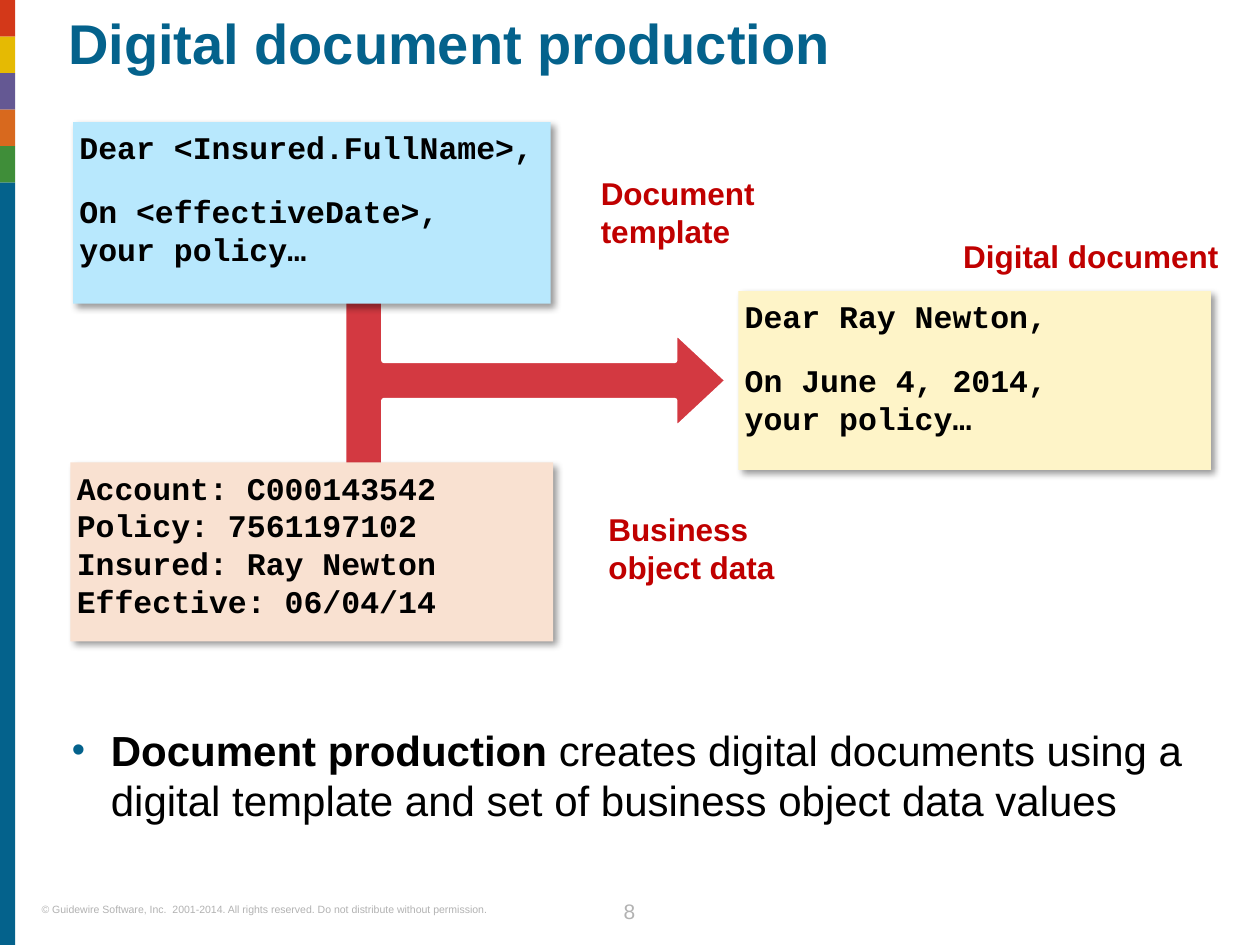
from dataclasses import dataclass

from lxml.etree import SubElement
from pptx import Presentation
from pptx.dml.color import RGBColor
from pptx.enum.shapes import MSO_SHAPE as Shape
from pptx.enum.text import MSO_ANCHOR as Anchor, MSO_AUTO_SIZE as AutoSize, PP_ALIGN as Align
from pptx.oxml.ns import qn
from pptx.util import Inches, Pt


@dataclass(frozen=True)
class Theme:
    sans: str = "Arial"
    mono: str = "Courier New"
    accent: str = "04628C"
    ink: str = "000000"
    white: str = "FFFFFF"
    muted: str = "B2B2B2"
    label: str = "C00000"
    arrow: str = "D33941"
    template: str = "B8E8FD"
    document: str = "FEF4C8"
    data: str = "F9E1D1"
    stripes: tuple = ("D33819", "E5BA03", "645893", "D8691E", "3F8E39")
    title_size: int = 32
    body_size: int = 24
    text_size: int = 18
    number_size: int = 12
    footer_size: int = 6


class SlideBuilder:
    def __init__(self, slide, theme):
        self.slide = slide
        self.theme = theme

    def set_font(self, para, size, color, bold=False, name=None):
        font = para.font
        font.name = name or self.theme.sans
        font.size = Pt(size)
        font.bold = bold
        font.color.rgb = RGBColor.from_string(color)

    def set_frame(self, frame, inset_x=0, inset_y=0):
        frame.word_wrap = True
        frame.auto_size = AutoSize.NONE
        frame.vertical_anchor = Anchor.TOP
        frame.margin_left = frame.margin_right = Inches(inset_x)
        frame.margin_top = frame.margin_bottom = Inches(inset_y)

    def place(self, shape, left, top, width, height):
        shape.left, shape.top = Inches(left), Inches(top)
        shape.width, shape.height = Inches(width), Inches(height)

    def shape(self, kind, left, top, width, height, color):
        shape = self.slide.shapes.add_shape(
            kind, Inches(left), Inches(top), Inches(width), Inches(height))
        shape.shadow.inherit = False
        shape.fill.solid()
        shape.fill.fore_color.rgb = RGBColor.from_string(color)
        shape.line.fill.background()
        return shape

    def side_bar(self, width=0.12, step=0.29, bottom=7.5):
        stripes = self.theme.stripes
        for index, color in enumerate(stripes):
            self.shape(Shape.RECTANGLE, 0, index * step, width, step, color)
        top = len(stripes) * step
        self.shape(Shape.RECTANGLE, 0, top, width, bottom - top, self.theme.accent)

    def merge_arrow(self, left, top, width, height):
        """Three-way arrow turned so that its middle head points right."""
        arrow = self.shape(Shape.LEFT_RIGHT_UP_ARROW, left, top, width, height,
                           self.theme.arrow)
        arrow.rotation = 90
        for index, value in enumerate((0.144, 0.177, 0.19)):
            arrow.adjustments[index] = value
        arrow.line.color.rgb = RGBColor.from_string(self.theme.white)
        arrow.line.width = Pt(3)

    def add_shadow(self, shape):
        effects = shape._element.spPr.find(qn("a:effectLst"))
        shadow = SubElement(effects, qn("a:outerShdw"), blurRad=str(Pt(4)),
                            dist=str(Pt(3)), dir=str(45 * 60000),
                            algn="tl", rotWithShape="0")
        color = SubElement(shadow, qn("a:srgbClr"), val=self.theme.ink)
        SubElement(color, qn("a:alpha"), val="40000")

    def paper(self, left, top, width, height, color, *paragraphs):
        """Shadowed sheet of monospaced text."""
        box = self.shape(Shape.RECTANGLE, left, top, width, height, color)
        self.add_shadow(box)
        frame = box.text_frame
        self.set_frame(frame, 0.05, 0.05)
        for index, text in enumerate(paragraphs):
            para = frame.add_paragraph() if index else frame.paragraphs[0]
            para.text = text
            para.alignment = Align.LEFT
            para.space_before = Pt(9 if index else 0)
            para.space_after = Pt(6)
            self.set_font(para, self.theme.text_size, self.theme.ink, True, self.theme.mono)

    def text(self, left, top, width, height, text, size, color, bold=False,
             align=Align.LEFT, insets=(0, 0)):
        box = self.slide.shapes.add_textbox(
            Inches(left), Inches(top), Inches(width), Inches(height))
        self.set_frame(box.text_frame, *insets)
        para = box.text_frame.paragraphs[0]
        para.text = text
        para.alignment = align
        self.set_font(para, size, color, bold)
        return para

    def label(self, left, top, width, text, align=Align.LEFT):
        self.text(left, top, width, 0.75, text, self.theme.text_size,
                  self.theme.label, True, align, (0.1, 0.05))

    def title(self, text):
        title = self.slide.shapes.title
        self.place(title, 0.54, 0.13, 9.1, 0.81)
        self.set_frame(title.text_frame)
        para = title.text_frame.paragraphs[0]
        para.text = text
        para.alignment = Align.LEFT
        para.line_spacing = 0.9
        self.set_font(para, self.theme.title_size, self.theme.accent, True)

    def bullet(self, lead, rest):
        body = self.slide.placeholders[1]
        self.place(body, 0.57, 5.75, 9.1, 1.25)
        self.set_frame(body.text_frame)
        para = body.text_frame.paragraphs[0]
        para.space_before = Pt(0)
        properties = para._p.get_or_add_pPr()
        properties.set("marL", str(Inches(0.31)))
        properties.set("indent", str(-Inches(0.31)))
        color = SubElement(properties, qn("a:buClr"))
        SubElement(color, qn("a:srgbClr"), val=self.theme.accent)
        SubElement(properties, qn("a:buSzPct"), val="90000")
        SubElement(properties, qn("a:buFont"), typeface=self.theme.sans)
        SubElement(properties, qn("a:buChar"), char="•")
        self.set_font(para, self.theme.body_size, self.theme.ink)
        for text, bold in ((lead, True), (rest, False)):
            span = para.add_run()
            span.text = text
            span.font.bold = bold

    def footer(self, notice, number):
        theme = self.theme
        self.text(0.33, 7.17, 4.02, 0.1, notice, theme.footer_size, theme.muted)
        para = self.text(4.71, 7.08, 0.57, 0.25, number, theme.number_size,
                         theme.muted, align=Align.CENTER)
        para.line_spacing = Pt(18)


def main():
    deck = Presentation()
    deck.slide_width, deck.slide_height = Inches(10), Inches(7.5)
    theme = Theme()
    page = SlideBuilder(deck.slides.add_slide(deck.slide_layouts[1]), theme)

    page.side_bar()
    page.footer("© Guidewire Software, Inc.  2001-2014. All rights reserved. "
                "Do not distribute without permission.", "8")
    page.title("Digital document production")
    page.merge_arrow(3.03, 1.38, 2.21, 3.28)
    page.paper(0.58, 0.97, 3.79, 1.44, theme.template,
               "Dear <Insured.FullName>,", "On <effectiveDate>,\vyour policy…")
    page.paper(5.86, 2.31, 3.75, 1.42, theme.document,
               "Dear Ray Newton,", "On June 4, 2014,\vyour policy…")
    page.paper(0.56, 3.67, 3.83, 1.42, theme.data,
               "Account: C000143542\vPolicy: 7561197102\v"
               "Insured: Ray Newton\vEffective: 06/04/14")
    page.label(4.67, 1.33, 1.83, "Document template")
    page.label(4.73, 4, 1.83, "Business object data")
    page.label(6.85, 1.83, 2.92, "Digital document", Align.RIGHT)
    page.bullet("Document production ",
                "creates digital documents using a digital template "
                "and set of business object data values")
    deck.save("out.pptx")


if __name__ == "__main__":
    main()
